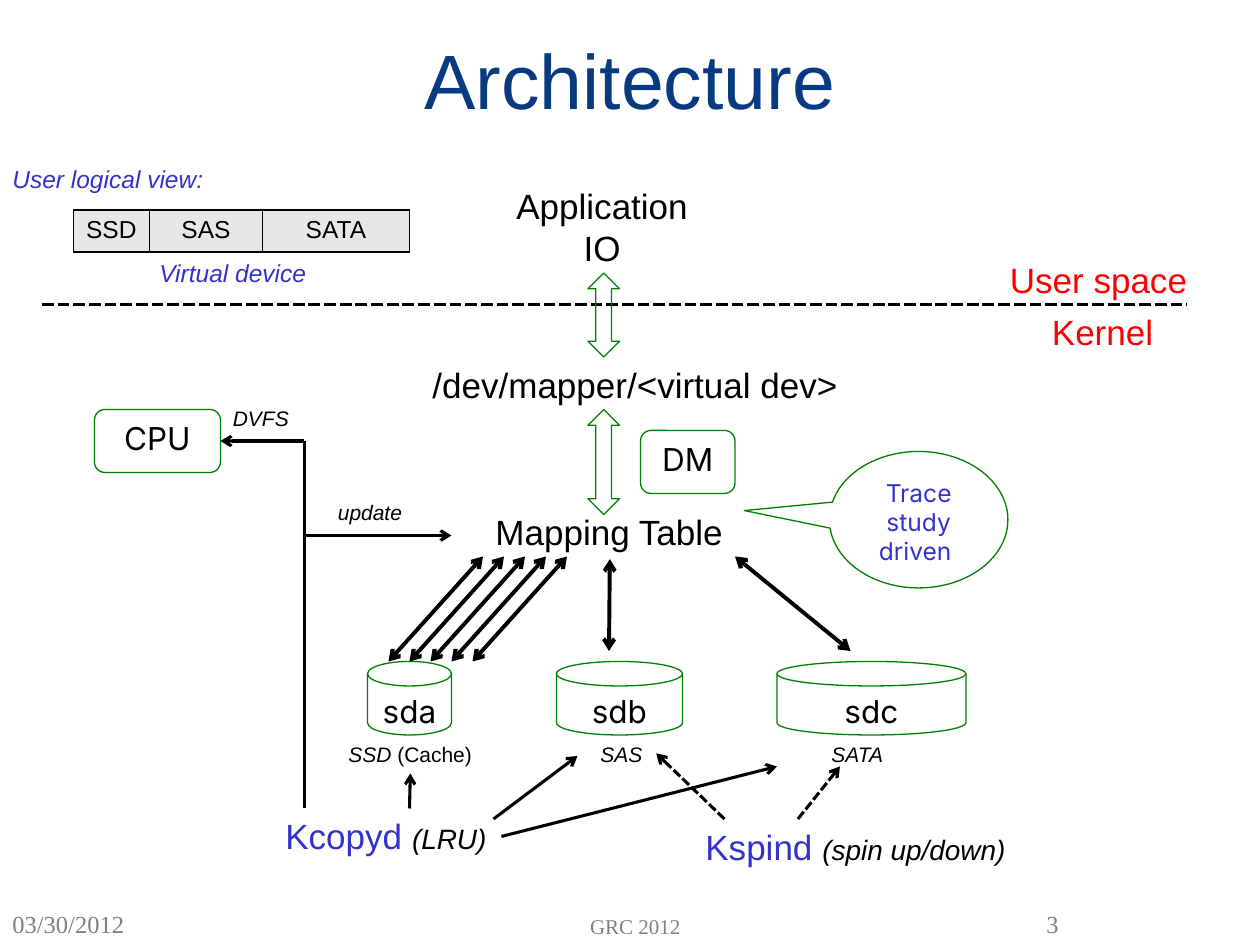
from lxml import etree
from pptx import Presentation
from pptx.dml.color import RGBColor
from pptx.enum.dml import MSO_LINE_DASH_STYLE as DASH
from pptx.enum.shapes import MSO_CONNECTOR, MSO_SHAPE as SHAPE
from pptx.enum.text import MSO_ANCHOR as ANCHOR, PP_ALIGN as ALIGN
from pptx.oxml.ns import qn
from pptx.util import Pt

BLACK, BLUE, RED, GREEN, GRAY = "000000", "3333CC", "FF0000", "008000", "808080"
TIMES = "Times New Roman"


def rgb(value):
    return RGBColor.from_string(value)


def write(tf, text, size=20, color=BLACK, font="Arial", italic=False,
          align=ALIGN.LEFT, anchor=ANCHOR.TOP, wrap=True):
    """Text is a string, or a list of (text, format) runs; newlines split paragraphs."""
    tf.word_wrap = wrap
    tf.vertical_anchor = anchor
    runs = [(text, {})] if isinstance(text, str) else text
    p = tf.paragraphs[0]
    p.alignment = align
    for content, fmt in runs:
        for i, part in enumerate(content.split("\n")):
            if i:
                p = tf.add_paragraph()
                p.alignment = ALIGN.CENTER
            r = p.add_run()
            r.text = part
            r.font.name = font
            r.font.size = Pt(fmt.get("size", size))
            r.font.italic = fmt.get("italic", italic)
            r.font.color.rgb = rgb(fmt.get("color", color))


def label(s, x, y, w, h, text, **fmt):
    write(s.shapes.add_textbox(Pt(x), Pt(y), Pt(w), Pt(h)).text_frame, text, **fmt)


def outline(s, kind, x, y, w, h, text="", **fmt):
    sp = s.shapes.add_shape(kind, Pt(x), Pt(y), Pt(w), Pt(h))
    sp.shadow.inherit = False
    sp.fill.background()
    sp.line.color.rgb = rgb(GREEN)
    sp.line.width = Pt(0.74)
    if text:
        write(sp.text_frame, text, font="Inter", align=ALIGN.CENTER, **fmt)
    return sp


def line(s, x1, y1, x2, y2, width=1.75, dash=False, head=False, tail=True):
    c = s.shapes.add_connector(MSO_CONNECTOR.STRAIGHT, Pt(x1), Pt(y1), Pt(x2), Pt(y2))
    c.line.color.rgb = rgb(BLACK)
    c.line.width = Pt(width)
    if dash:
        c.line.dash_style = DASH.SQUARE_DOT
    ln = c.line._get_or_add_ln()
    for tag, wanted in (("a:headEnd", head), ("a:tailEnd", tail)):
        if wanted:
            etree.SubElement(ln, qn(tag), type="arrow")
    etree.SubElement(c._element.spPr, qn("a:effectLst"))


def cell_border(cell):
    pr = cell._tc.get_or_add_tcPr()
    for i, side in enumerate(("a:lnL", "a:lnR", "a:lnT", "a:lnB")):
        ln = etree.Element(qn(side), w=str(Pt(1)))
        fill = etree.SubElement(ln, qn("a:solidFill"))
        etree.SubElement(fill, qn("a:srgbClr"), val=BLACK)
        pr.insert(i, ln)


def footer(s, x, y, h):
    fmt = dict(color=GRAY, font=TIMES, anchor=ANCHOR.BOTTOM)
    label(s, x, y, 150, h, "03/30/2012", size=14, **fmt)
    label(s, x + 192, y, 342, h, "GRC 2012", size=12, align=ALIGN.CENTER, **fmt)
    label(s, x + 570, y, 42, h, "3", size=14, align=ALIGN.RIGHT, **fmt)


def logical_view(s, x, y):
    note = dict(size=14, color=BLUE, italic=True)
    label(s, x, y, 150, 24.5, "User logical view:", **note)
    label(s, x + 60, y + 54, 150, 24.5, "Virtual device ", align=ALIGN.CENTER, **note)
    columns = (("SSD", 43.5), ("SAS", 64.5), ("SATA", 84))
    total = sum(w for _, w in columns)
    table = s.shapes.add_table(1, 3, Pt(x + 42), Pt(y + 30), Pt(total), Pt(24)).table
    table.rows[0].height = Pt(24)
    for i, (name, w) in enumerate(columns):
        table.columns[i].width = Pt(w)
        cell = table.cell(0, i)
        cell.fill.solid()
        cell.fill.fore_color.rgb = rgb("E7E7E7")
        write(cell.text_frame, name, size=14, align=ALIGN.CENTER if i else ALIGN.LEFT)
        cell.vertical_anchor = ANCHOR.TOP
        cell_border(cell)


def space_divider(s, x, y, w):
    line(s, x, y, x + w, y, width=2.25, dash=True, tail=False)
    label(s, x + 546, y - 30, 116.5, 31.5, "User space", color=RED, wrap=False)
    label(s, x + 570, y, 73, 31.5, "Kernel", color=RED, wrap=False)


def io_path(s, x, y):
    """Application, virtual device and mapping table, joined by block arrows."""
    label(s, x + 48, y, 114, 55.5, "Application\nIO", wrap=False)
    label(s, x, y + 102, 248, 31.5, "/dev/mapper/<virtual dev>", wrap=False)
    label(s, x + 36, y + 186, 145.5, 31.5, "Mapping Table", wrap=False)
    for top, h in ((54, 48), (132, 60)):
        outline(s, SHAPE.UP_DOWN_ARROW, x + 96, y + top, 18, h)
    outline(s, SHAPE.ROUNDED_RECTANGLE, x + 126, y + 144, 54, 36, "DM", size=18)
    callout = outline(s, SHAPE.OVAL_CALLOUT, x + 234, y + 156, 102, 78,
                      "Trace study driven ", size=14, color=BLUE)
    callout.adjustments[0] = -0.977
    callout.adjustments[1] = -0.067


def disks(s, x, y):
    """Disk row with its captions and the arrows up to the mapping table."""
    ssd = [("SSD", {}), (" (Cache)", {"italic": False})]
    for name, dx, w, caption, cx, cw in (("sda", 0, 48, ssd, -18, 85.5),
                                         ("sdb", 108, 72, "SAS", 126, 39),
                                         ("sdc", 234, 108, "SATA", 258, 44.5)):
        outline(s, SHAPE.FLOWCHART_MAGNETIC_DISK, x + dx, y, w, 42, name, size=18)
        label(s, x + cx, y + 42, cw, 21.5, caption, size=12, italic=True, wrap=False)
    links = [(12 + 12 * i, 0, 66 + 12 * i, -60) for i in range(5)]
    links += [(138, -6, 138.5, -58.5), (276, -6, 210, -60)]
    for x1, y1, x2, y2 in links:
        line(s, x + x1, y + y1, x + x2, y + y2, width=2.25, head=True)


def daemons(s, x, y):
    """Kernel threads and the arrows to the disks they handle."""
    for dx, dy, w, name, role in ((0, 0, 130, "Kcopyd ", "(LRU)"),
                                  (240, 6, 188, "Kspind ", "(spin up/down)")):
        label(s, x + dx, y + dy, w, 31.5, wrap=False,
              text=[(name, {"color": BLUE}), (role, {"size": 16, "italic": True})])
    for x1, y1, x2, y2, dash in ((130.5, 16, 288, -24, False), (126, 6, 174, -30, False),
                                 (78, 0, 78.5, -20, False), (300, 6, 324, -24, True),
                                 (258, 6, 219, -31.5, True)):
        line(s, x + x1, y + y1, x + x2, y + y2, dash=dash)


def cpu_control(s, x, y):
    """CPU box and the trunk that feeds it and the mapping table."""
    outline(s, SHAPE.ROUNDED_RECTANGLE, x, y, 72, 36, "CPU", size=18)
    for text, dx, dy, w in (("DVFS", 72, -6, 47), ("update", 132, 48, 51)):
        label(s, x + dx, y + dy, w, 21.5, text, size=12, italic=True, wrap=False)
    trunk = x + 120
    line(s, trunk, y + 228, trunk, y + 18, width=1.5, tail=False)
    line(s, trunk, y + 72, trunk + 84, y + 72)
    line(s, trunk, y + 18, x + 72, y + 18)


prs = Presentation()
prs.slide_width, prs.slide_height = Pt(720), Pt(540)
s = prs.slides.add_slide(prs.slide_layouts[6])

label(s, 54, 0, 612, 90, "Architecture", size=44, color="093A81",
      align=ALIGN.CENTER, anchor=ANCHOR.MIDDLE)
footer(s, 0, 504, 36)
space_divider(s, 24, 174, 654)
logical_view(s, 0, 90)
io_path(s, 240, 102)
cpu_control(s, 54, 234)
disks(s, 210, 378)
daemons(s, 156, 462)

prs.save("out.pptx")
